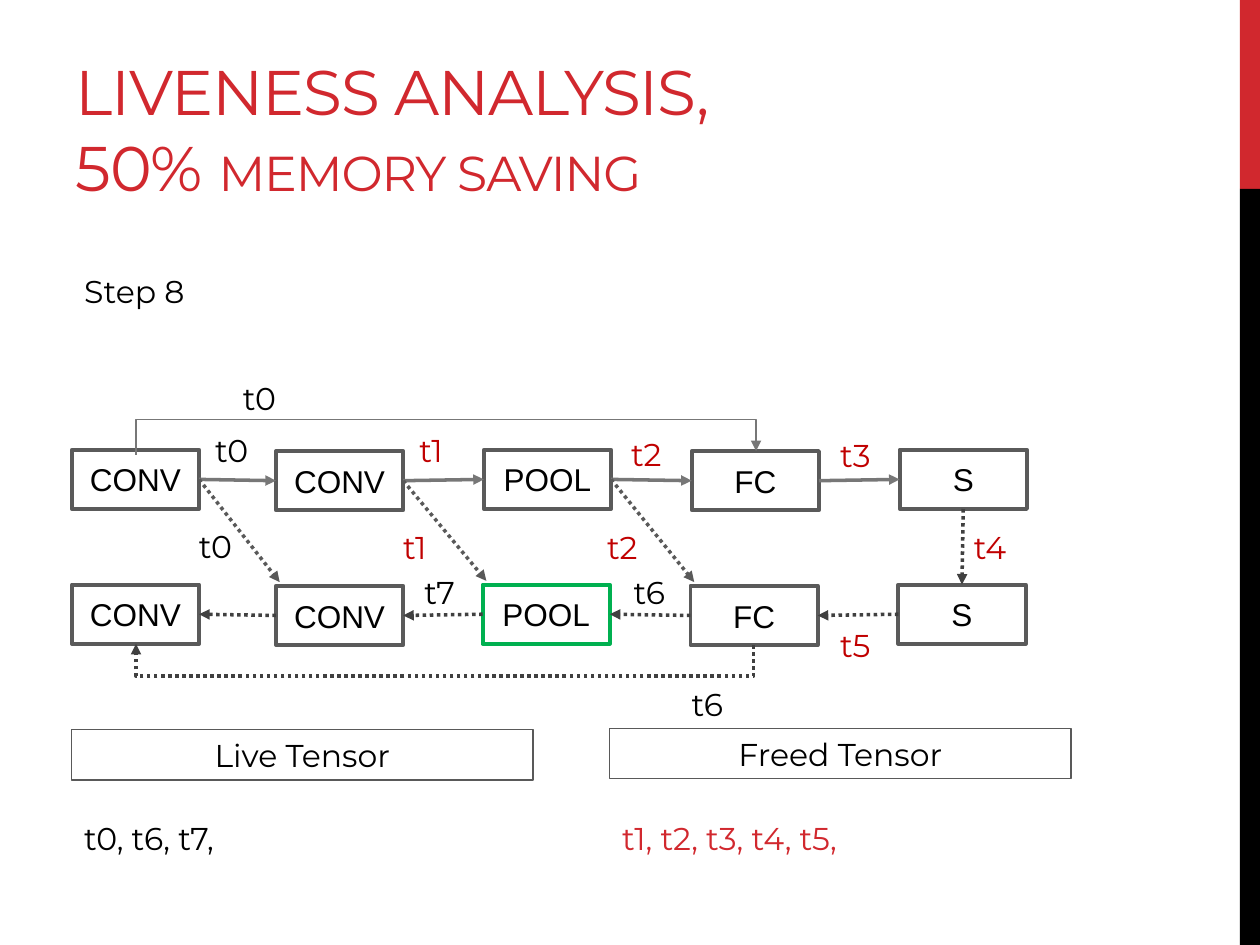
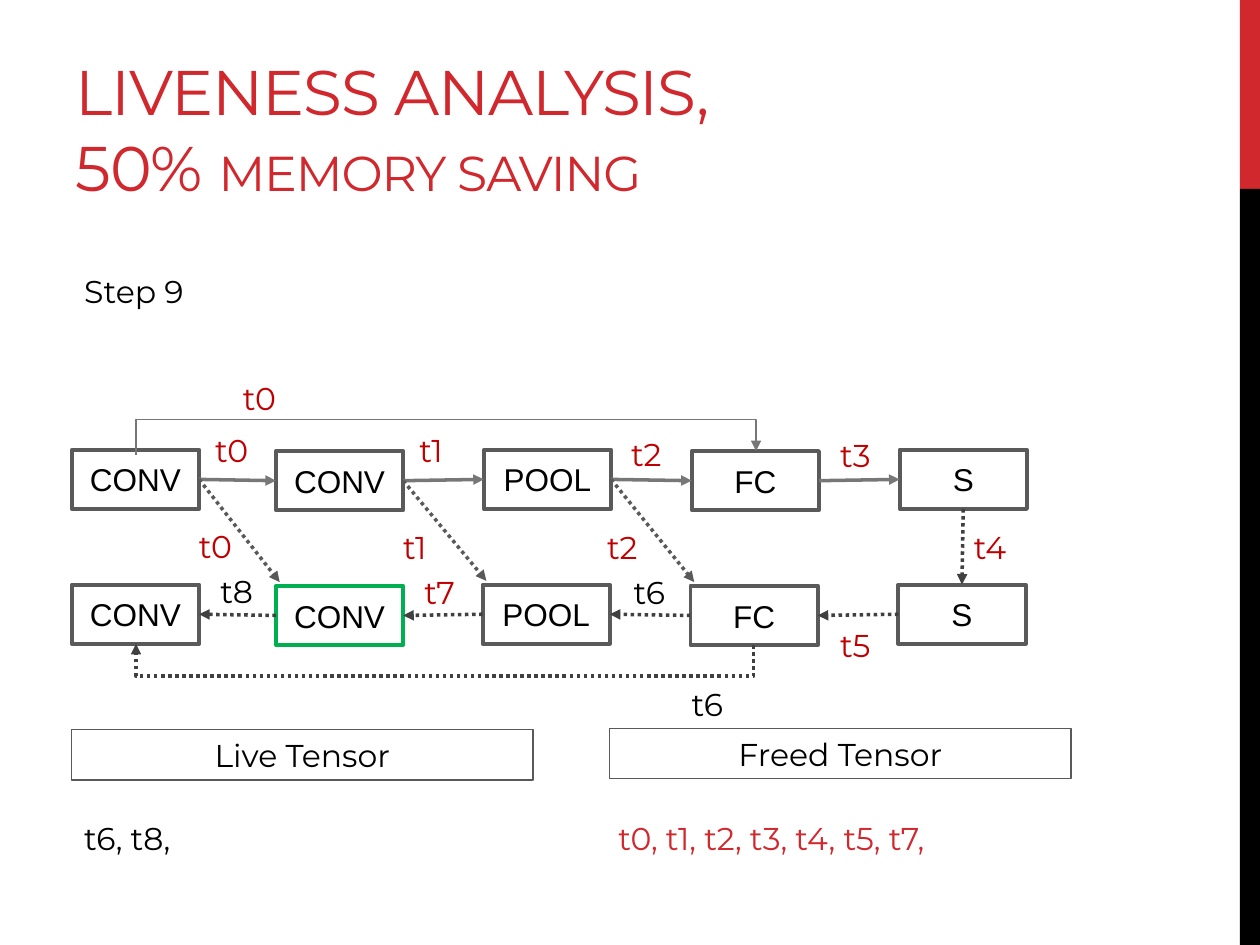
"""Build two slides that step through tensor liveness analysis."""
from copy import deepcopy
from dataclasses import dataclass
from typing import Optional

from lxml.etree import SubElement
from pptx import Presentation
from pptx.dml.color import RGBColor
from pptx.enum.dml import MSO_LINE
from pptx.enum.shapes import MSO_CONNECTOR, MSO_SHAPE
from pptx.enum.text import MSO_ANCHOR, MSO_AUTO_SIZE, PP_ALIGN
from pptx.oxml.ns import qn
from pptx.util import Inches, Pt

RED = RGBColor(0xD1, 0x28, 0x2E)
FREED_RED = RGBColor(0xC0, 0x00, 0x00)
GREEN = RGBColor(0x00, 0xB0, 0x50)
BLACK = RGBColor(0x00, 0x00, 0x00)
NODE_GRAY = RGBColor(0x5A, 0x5A, 0x5A)
FORWARD_GRAY = RGBColor(0x77, 0x77, 0x77)
REUSE_GRAY = RGBColor(0x59, 0x59, 0x59)
BACKWARD_GRAY = RGBColor(0x40, 0x40, 0x40)

BODY_FONT = "Montserrat"
NODE_FONT = "Arial"
TOP, LEFT, BOTTOM, RIGHT = range(4)
TITLE_ONLY = 5
NODE_WIDTH, NODE_HEIGHT = 1.01, 0.47
TEXT_HEIGHT = 0.4
PANEL_WIDTH = 3.66


@dataclass(frozen=True)
class Layer:
    """A network layer with its forward and backward positions."""
    name: str
    forward: tuple[float, float]
    backward: tuple[float, float]


@dataclass(frozen=True)
class TensorLabel:
    """A tensor name beside an arrow."""
    tensor: str
    left: float
    top: float


@dataclass(frozen=True)
class Step:
    """The state of the tensors at one step."""
    number: int
    active_layer: int
    live: tuple[str, ...]
    freed: tuple[str, ...]
    freed_left: float


LAYERS = (
    Layer("CONV", (0.57, 3.57), (0.57, 4.64)),
    Layer("CONV", (2.19, 3.58), (2.19, 4.65)),
    Layer("POOL", (3.84, 3.57), (3.83, 4.64)),
    Layer("FC", (5.49, 3.58), (5.48, 4.65)),
    Layer("S", (7.14, 3.57), (7.13, 4.64)),
)

LABELS = (
    TensorLabel("t0", 1.83, 2.96),
    TensorLabel("t0", 1.61, 3.37),
    TensorLabel("t1", 3.23, 3.37),
    TensorLabel("t2", 4.91, 3.4),
    TensorLabel("t3", 6.57, 3.41),
    TensorLabel("t0", 1.48, 4.13),
    TensorLabel("t1", 3.1, 4.14),
    TensorLabel("t2", 4.72, 4.14),
    TensorLabel("t4", 7.63, 4.14),
    TensorLabel("t5", 6.57, 4.92),
    TensorLabel("t6", 4.93, 4.5),
    TensorLabel("t6", 5.39, 5.39),
    TensorLabel("t7", 3.27, 4.5),
    TensorLabel("t8", 1.65, 4.49),
)

STEPS = (
    Step(8, 2, ("t0", "t6", "t7"), ("t1", "t2", "t3", "t4", "t5"), 4.84),
    Step(9, 1, ("t6", "t8"), ("t0", "t1", "t2", "t3", "t4", "t5", "t7"), 4.81),
)


def write_text(shape, text: str, *, size: float = 18, color: RGBColor = BLACK,
               font: str = BODY_FONT, align: PP_ALIGN = PP_ALIGN.LEFT,
               spacing: Optional[float] = None):
    """Append a formatted run to the first paragraph of a shape."""
    paragraph = shape.text_frame.paragraphs[0]
    paragraph.alignment = align
    run = paragraph.add_run()
    run.text = text
    run.font.size = Pt(size)
    run.font.name = font
    run.font.color.rgb = color
    if spacing is not None:
        run.font._element.set("spc", str(round(spacing * 100)))
    return run


def add_text(slide, text: str, left: float, top: float, width: float,
             *, wrap: bool = False, color: RGBColor = BLACK) -> None:
    """Add a one-line text box."""
    box = slide.shapes.add_textbox(Inches(left), Inches(top), Inches(width), Inches(TEXT_HEIGHT))
    box.text_frame.word_wrap = wrap
    box.text_frame.auto_size = MSO_AUTO_SIZE.SHAPE_TO_FIT_TEXT
    write_text(box, text, color=color)


def add_rectangle(slide, left: float, top: float, width: float, height: float, *,
                  fill: Optional[RGBColor] = None, line: Optional[RGBColor] = None,
                  line_width: float = 1):
    """Add a rectangle with an optional fill and outline."""
    shape = slide.shapes.add_shape(MSO_SHAPE.RECTANGLE, Inches(left), Inches(top),
                                   Inches(width), Inches(height))
    shape.shadow.inherit = False
    if fill is None:
        shape.fill.background()
    else:
        shape.fill.solid()
        shape.fill.fore_color.rgb = fill
    if line is None:
        shape.line.fill.background()
    else:
        shape.line.color.rgb = line
        shape.line.width = Pt(line_width)
    shape.text_frame.vertical_anchor = MSO_ANCHOR.MIDDLE
    return shape


def add_node(slide, name: str, position: tuple[float, float], color: RGBColor = NODE_GRAY):
    """Add the box of one network layer."""
    node = add_rectangle(slide, *position, NODE_WIDTH, NODE_HEIGHT, line=color, line_width=2.25)
    write_text(node, name, font=NODE_FONT, align=PP_ALIGN.CENTER)
    return node


def style_arrow(connector, color: RGBColor, *, width: float = 2, dotted: bool = False) -> None:
    """Format a connector as an arrow without a shadow."""
    connector.line.color.rgb = color
    connector.line.width = Pt(width)
    if dotted:
        connector.line.dash_style = MSO_LINE.ROUND_DOT
    properties = connector.element.spPr
    SubElement(properties.find(qn("a:ln")), qn("a:tailEnd"), type="triangle")
    SubElement(properties, qn("a:effectLst"))


def join(slide, start, start_side: int, end, end_side: int, color: RGBColor, *,
         dotted: bool = False) -> None:
    """Draw an arrow between the side middles of two nodes."""
    connector = slide.shapes.add_connector(MSO_CONNECTOR.STRAIGHT, 0, 0, 0, 0)
    connector.begin_connect(start, start_side)
    connector.end_connect(end, end_side)
    style_arrow(connector, color, dotted=dotted)


def add_reuse_arrow(slide, start, end) -> None:
    """Draw a dotted arrow from a forward node to a backward node's corner."""
    offset = Inches(0.03)
    connector = slide.shapes.add_connector(MSO_CONNECTOR.STRAIGHT, 0, 0,
                                           end.left + offset, end.top - offset)
    connector.begin_connect(start, RIGHT)
    style_arrow(connector, REUSE_GRAY, dotted=True)


def add_skip_arrow(slide, start: tuple[float, float], end: tuple[float, float], bend_y: float,
                   color: RGBColor, *, width: float, dotted: bool = False) -> None:
    """Draw a rotated elbow arrow whose long part runs at bend_y."""
    rise, run = start[1] - end[1], abs(end[0] - start[0])
    center_x, center_y = (start[0] + end[0]) / 2, (start[1] + end[1]) / 2
    connector = slide.shapes.add_connector(
        MSO_CONNECTOR.ELBOW, Inches(center_x - rise / 2), Inches(center_y - run / 2),
        Inches(center_x + rise / 2), Inches(center_y + run / 2))
    properties = connector.element.spPr
    transform = properties.find(qn("a:xfrm"))
    transform.set("rot", "5400000")
    transform.set("flipH", "1")
    if start[0] < end[0]:
        transform.set("flipV", "1")
    bend = round((start[1] - bend_y) / rise * 100000)
    adjustments = properties.find(qn("a:prstGeom")).find(qn("a:avLst"))
    SubElement(adjustments, qn("a:gd"), name="adj1", fmla=f"val {bend}")
    style_arrow(connector, color, width=width, dotted=dotted)


def add_bands(slide) -> None:
    """Put the side bands on the layout that the slides share."""
    for top, height, color in ((0, 1.5, RED), (1.5, 6, BLACK)):
        band = add_rectangle(slide, 9.84, top, 0.16, height, fill=color)
        slide.slide_layout.shapes.element.append(band.element)


def add_title(slide) -> None:
    """Place and format the shared title."""
    title = slide.shapes.title
    title.left, title.top = Inches(0.5), Inches(0.17)
    title.width, title.height = Inches(8.33), Inches(1.5)
    frame = title.text_frame
    frame.vertical_anchor = MSO_ANCHOR.BOTTOM
    frame.auto_size = MSO_AUTO_SIZE.NONE
    first = write_text(title, "LIVENESS ANALYSIS,", size=36, color=RED, spacing=-0.6)
    paragraph = frame.paragraphs[0]
    paragraph.add_line_break()
    line_break = paragraph._p.find(qn("a:br"))
    line_break.append(deepcopy(first.font._element))
    write_text(title, "50% ", size=36, color=RED, spacing=-0.6)
    write_text(title, "MEMORY SAVING", size=28, color=RED, spacing=-0.6)


def add_network(slide, step: Step) -> None:
    """Draw the forward and backward passes with their tensors."""
    forward = [add_node(slide, layer.name, layer.forward) for layer in LAYERS]
    backward = [
        add_node(slide, layer.name, layer.backward,
                 GREEN if index == step.active_layer else NODE_GRAY)
        for index, layer in enumerate(LAYERS)
    ]
    for start, end in zip(forward, forward[1:]):
        join(slide, start, RIGHT, end, LEFT, FORWARD_GRAY)
    join(slide, forward[-1], BOTTOM, backward[-1], TOP, BACKWARD_GRAY, dotted=True)
    for end, start in zip(backward, backward[1:]):
        join(slide, start, LEFT, end, RIGHT, BACKWARD_GRAY, dotted=True)
    for start, end in zip(forward[:3], backward[1:4]):
        add_reuse_arrow(slide, start, end)
    add_skip_arrow(slide, (1.08, 3.61), (6, 3.58), 3.33, FORWARD_GRAY, width=1)
    add_skip_arrow(slide, (5.98, 5.12), (1.08, 5.11), 5.37, BACKWARD_GRAY, width=2, dotted=True)
    for label in LABELS:
        if label.tensor in step.live + step.freed:
            color = FREED_RED if label.tensor in step.freed else BLACK
            add_text(slide, label.tensor, label.left, label.top, 0.48, color=color)


def add_panel(slide, heading: str, left: float, top: float) -> None:
    """Add the outlined heading of a tensor list."""
    panel = add_rectangle(slide, left, top, PANEL_WIDTH, TEXT_HEIGHT,
                          line=REUSE_GRAY, line_width=0.75)
    write_text(panel, heading, align=PP_ALIGN.CENTER)


def add_tensors(slide, tensors: tuple[str, ...], left: float, color: RGBColor) -> None:
    """List tensors below their heading."""
    add_text(slide, ", ".join(tensors) + ",", left, 6.45, PANEL_WIDTH, wrap=True, color=color)


def build_step(slide, step: Step) -> None:
    """Fill one slide with a step of the analysis."""
    add_title(slide)
    add_text(slide, f"Step {step.number}", 0.57, 2.11, 1.09)
    add_network(slide, step)
    add_panel(slide, "Live Tensor", 0.57, 5.79)
    add_tensors(slide, step.live, 0.57, BLACK)
    add_panel(slide, "Freed Tensor", 4.84, 5.78)
    add_tensors(slide, step.freed, step.freed_left, RED)


def main() -> None:
    """Create and save the presentation."""
    presentation = Presentation()
    presentation.slide_width, presentation.slide_height = Inches(10), Inches(7.5)
    layout = presentation.slide_layouts[TITLE_ONLY]
    slides = [presentation.slides.add_slide(layout) for _ in STEPS]
    add_bands(slides[0])
    for slide, step in zip(slides, STEPS):
        build_step(slide, step)
    presentation.save("out.pptx")


if __name__ == "__main__":
    main()
